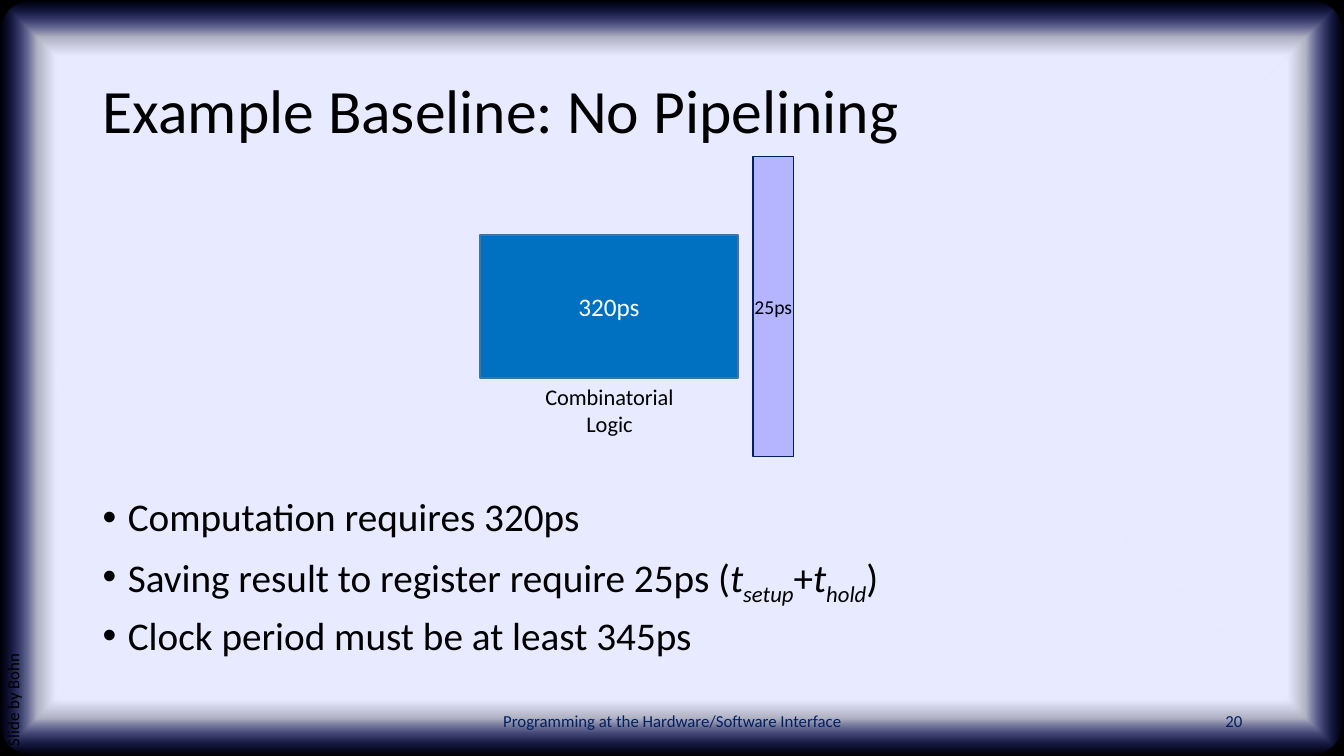
"""Build the slide on the unpipelined baseline: logic block, register and timing bullets."""
from dataclasses import dataclass, field
from typing import Any

from lxml import etree
from pptx import Presentation
from pptx.dml.color import RGBColor
from pptx.enum.shapes import MSO_SHAPE
from pptx.enum.text import MSO_ANCHOR, MSO_AUTO_SIZE, PP_ALIGN
from pptx.oxml import parse_xml
from pptx.oxml.ns import qn
from pptx.shapes.autoshape import Shape
from pptx.slide import Slide
from pptx.util import Inches, Pt

RECT, ROUNDED = MSO_SHAPE.RECTANGLE, MSO_SHAPE.ROUNDED_RECTANGLE
TOP, MIDDLE = MSO_ANCHOR.TOP, MSO_ANCHOR.MIDDLE
LEFT, CENTER, RIGHT = PP_ALIGN.LEFT, PP_ALIGN.CENTER, PP_ALIGN.RIGHT
GROW = MSO_AUTO_SIZE.SHAPE_TO_FIT_TEXT
DRAWING_NS = "http://schemas.openxmlformats.org/drawingml/2006/main"


@dataclass(frozen=True)
class Theme:
    """Colours and type sizes of the slide."""
    font: str = "Calibri"
    ink: str = "000000"
    navy: str = "002060"
    white: str = "FFFFFF"
    logic_fill: str = "0070C0"
    logic_line: str = "43739E"
    register_fill: str = "B4B4FF"
    glow: tuple = ((85, "E8EAFF", 100), (90, "E8EAFF", 75), (100, "162AFF", 0))
    title: int = 44
    bullet: int = 28
    logic: int = 18
    caption: int = 16
    register: int = 14
    small: int = 12


THEME = Theme()


@dataclass(frozen=True)
class Run:
    """A piece of text, optionally an italic symbol or its subscript."""
    text: str
    italic: bool = False
    subscript: bool = False


@dataclass(frozen=True)
class Label:
    """Text with its place, type and frame settings."""
    box: tuple[float, float, float, float]
    paragraphs: list[list[Run]]
    size: int
    color: str = THEME.ink
    align: PP_ALIGN = LEFT
    bulleted: bool = False
    spacing: dict[str, Any] = field(default_factory=dict)
    frame: dict[str, Any] = field(default_factory=dict)
    rotation: float = 0


@dataclass(frozen=True)
class Block:
    """A filled hardware stage around its label."""
    label: Label
    fill: str
    line: str


SETUP_AND_HOLD = [
    Run("Saving result to register require 25ps ("),
    Run("t", italic=True), Run("setup", italic=True, subscript=True),
    Run("+"),
    Run("t", italic=True), Run("hold", italic=True, subscript=True),
    Run(")"),
]
TIGHT = {"line_spacing": 0.9}
BODY = {"line_spacing": 0.9, "space_before": Pt(10)}
CENTERED = {"vertical_anchor": MIDDLE}

LABELS = [
    Label((0.92, 0.4, 11.5, 1.45), [[Run("Example Baseline: No Pipelining")]],
          THEME.title, spacing=TIGHT, frame=CENTERED),
    Label((0.92, 4.89, 11.5, 1.87),
          [[Run("Computation requires 320ps")], SETUP_AND_HOLD,
           [Run("Clock period must be at least 345ps")]],
          THEME.bullet, bulleted=True, spacing=BODY),
    Label((4.42, 6.95, 4.5, 0.4),
          [[Run("Programming at the Hardware/Software Interface")]],
          THEME.small, THEME.navy, CENTER, frame=CENTERED),
    Label((9.42, 6.95, 3, 0.4), [[Run("20")]],
          THEME.small, THEME.navy, RIGHT, frame=CENTERED),
    Label((-2.44, 4.66, 5.28, 0.4), [[Run("Slide by Bohn")]],
          THEME.small, spacing=BODY, rotation=270),
    Label((5.3, 3.75, 1.49, 0.64), [[Run("Combinatorial\nLogic")]],
          THEME.caption, align=CENTER,
          frame={"word_wrap": False, "auto_size": GROW}),
]
BLOCKS = [
    Block(Label((7.47, 1.55, 0.4, 2.98), [[Run("25ps")]], THEME.register,
                align=CENTER, frame={**CENTERED, "word_wrap": False}),
          THEME.register_fill, THEME.navy),
    Block(Label((4.76, 2.33, 2.56, 1.42), [[Run("320ps")]], THEME.logic,
                THEME.white, CENTER, frame=CENTERED),
          THEME.logic_fill, THEME.logic_line),
]


def apply(target: Any, values: dict[str, Any]) -> None:
    """Set each named attribute on the target."""
    for name, value in values.items():
        setattr(target, name, value)


def add_bullet(paragraph: Any) -> None:
    """Give the paragraph a round bullet and a hanging indent."""
    properties = paragraph._p.get_or_add_pPr()
    properties.set("marL", str(Inches(0.25)))
    properties.set("indent", str(-Inches(0.25)))
    etree.SubElement(properties, qn("a:buFont"), typeface="Arial")
    etree.SubElement(properties, qn("a:buChar"), char="•")


def add_run(paragraph: Any, piece: Run, label: Label) -> None:
    """Write a run, turning newlines into line breaks."""
    for number, line in enumerate(piece.text.split("\n")):
        if number:
            paragraph.add_line_break()
        run = paragraph.add_run()
        run.text = line
        apply(run.font, {"name": THEME.font, "size": Pt(label.size),
                         "italic": piece.italic})
        run.font.color.rgb = RGBColor.from_string(label.color)
        if piece.subscript:
            run.font._element.set("baseline", "-25000")


def write(shape: Shape, label: Label) -> None:
    """Fill the shape with the label's text."""
    frame = shape.text_frame
    apply(frame, {"word_wrap": True, "vertical_anchor": TOP, **label.frame})
    for number, pieces in enumerate(label.paragraphs):
        paragraph = frame.add_paragraph() if number else frame.paragraphs[0]
        apply(paragraph, {"alignment": label.align, **label.spacing})
        if label.bulleted:
            add_bullet(paragraph)
        for piece in pieces:
            add_run(paragraph, piece, label)
    shape.rotation = label.rotation


def add_panel(slide: Slide, kind: MSO_SHAPE, box: tuple, fill: str) -> Shape:
    """Add a flat filled shape without an outline."""
    panel = slide.shapes.add_shape(kind, *map(Inches, box))
    panel.shadow.inherit = False
    panel.fill.solid()
    panel.fill.fore_color.rgb = RGBColor.from_string(fill)
    panel.line.fill.background()
    return panel


def add_block(slide: Slide, block: Block) -> None:
    """Draw a hardware stage with its delay."""
    stage = add_panel(slide, RECT, block.label.box, block.fill)
    stage.line.color.rgb = RGBColor.from_string(block.line)
    stage.line.width = Pt(1)
    write(stage, block.label)


def add_backdrop(slide: Slide, size: tuple[float, float]) -> None:
    """Draw the black page with a glowing rounded panel on it."""
    add_panel(slide, RECT, (0, 0, *size), THEME.ink)
    glow = add_panel(slide, ROUNDED, (0, 0, *size), THEME.white)
    glow.adjustments[0] = 0.048
    stops = "".join(
        f'<a:gs pos="{place * 1000}"><a:srgbClr val="{color}">'
        f'<a:alpha val="{opacity * 1000}"/></a:srgbClr></a:gs>'
        for place, color, opacity in THEME.glow)
    gradient = parse_xml(
        f'<a:gradFill xmlns:a="{DRAWING_NS}" rotWithShape="1"><a:gsLst>{stops}</a:gsLst>'
        '<a:path path="shape"><a:fillToRect l="50000" t="50000" r="50000" b="50000"/>'
        '</a:path></a:gradFill>')
    properties = glow._element.spPr
    properties.replace(properties.find(qn("a:solidFill")), gradient)


def main() -> None:
    """Assemble and save the slide."""
    size = (13.33, 7.5)
    deck = Presentation()
    apply(deck, dict(zip(("slide_width", "slide_height"), map(Inches, size))))
    slide = deck.slides.add_slide(deck.slide_layouts[6])
    add_backdrop(slide, size)
    for label in LABELS:
        write(slide.shapes.add_textbox(*map(Inches, label.box)), label)
    for block in BLOCKS:
        add_block(slide, block)
    deck.save("out.pptx")


if __name__ == "__main__":
    main()
